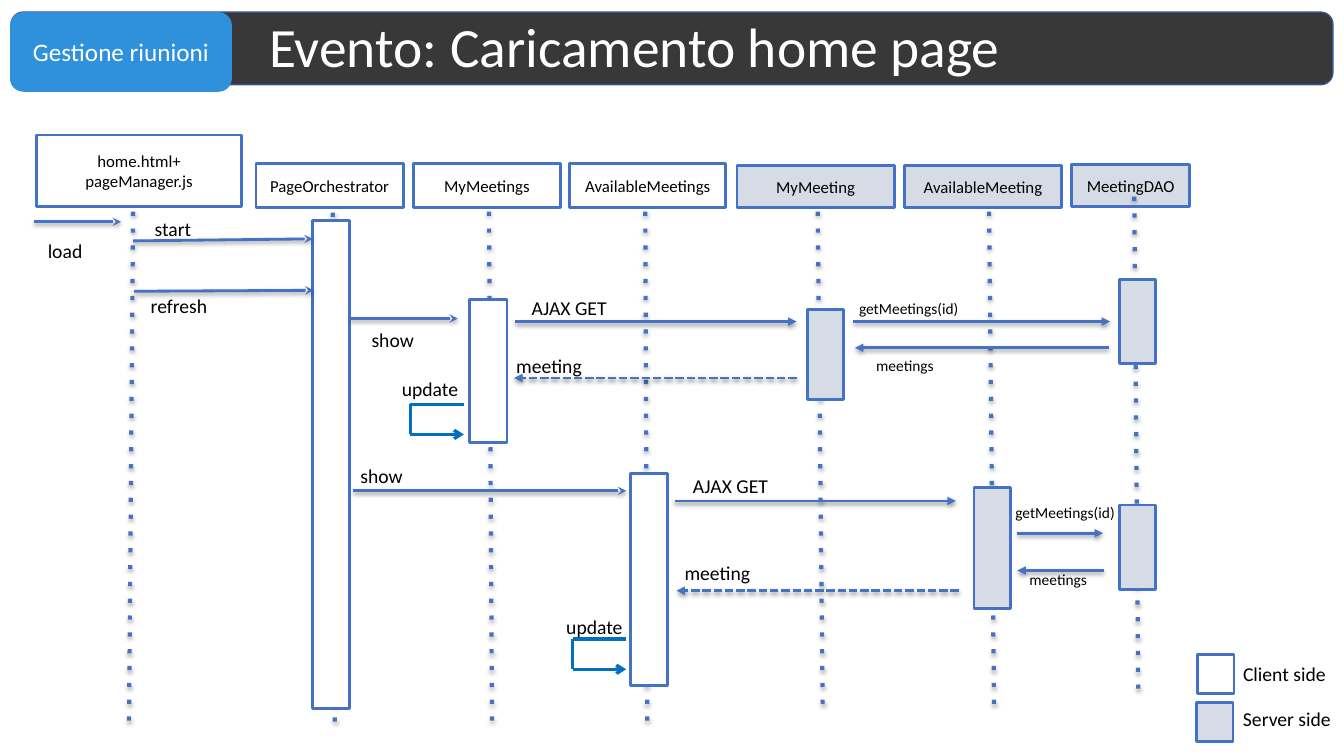
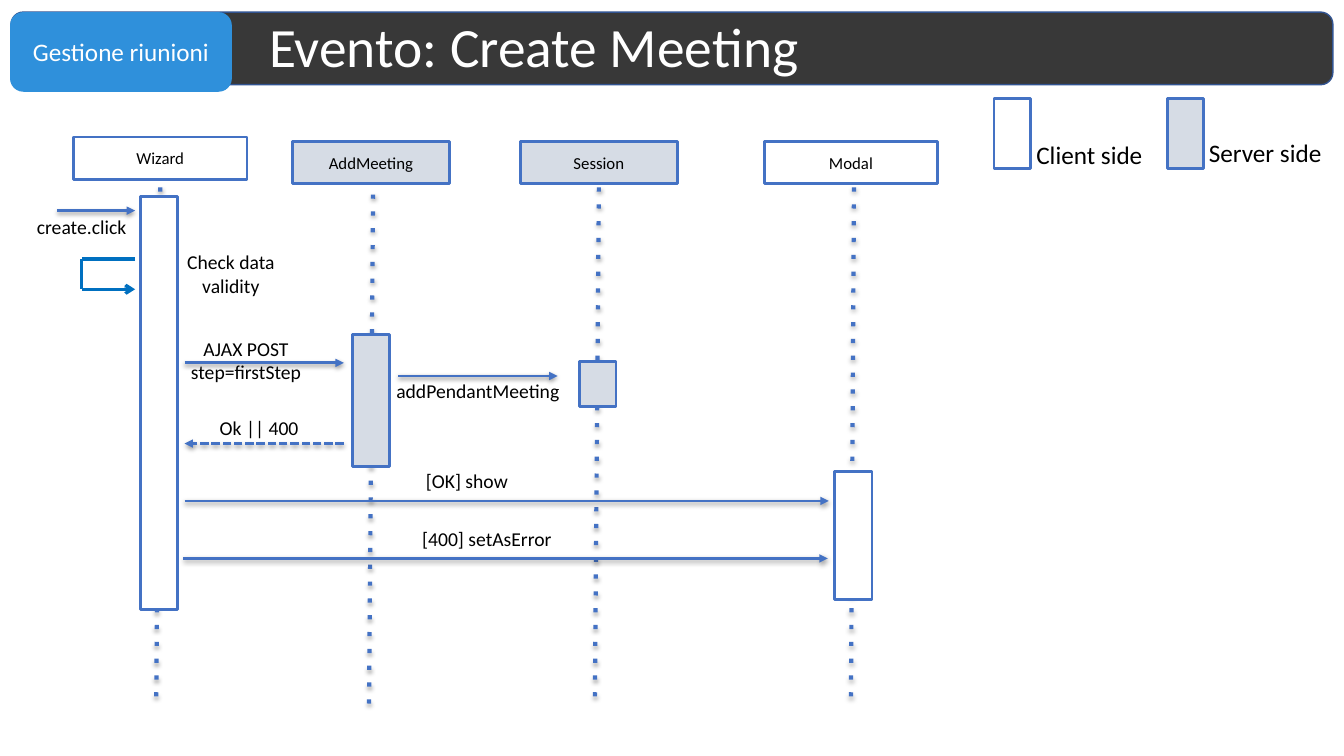
from lxml import etree
from pptx import Presentation
from pptx.dml.color import RGBColor
from pptx.enum.shapes import MSO_CONNECTOR, MSO_SHAPE
from pptx.enum.text import MSO_ANCHOR, PP_ALIGN
from pptx.oxml.ns import qn
from pptx.util import Emu, Pt

STRAIGHT = MSO_CONNECTOR.STRAIGHT
RECTANGLE, ROUNDED = MSO_SHAPE.RECTANGLE, MSO_SHAPE.ROUNDED_RECTANGLE
TOP, MIDDLE = MSO_ANCHOR.TOP, MSO_ANCHOR.MIDDLE
LEFT, CENTER = PP_ALIGN.LEFT, PP_ALIGN.CENTER

EMU_PER_PX = 9144  # 100 px to the inch
FONT = "Calibri"
COLORS = {
    "band": "383838", "band_line": "325491", "tag": "2F90DB",
    "line": "4472C4", "loop": "0070C0", "shadow": "000000",
    "client": "FFFFFF", "server": "D6DCE5",
    "text": "000000", "light_text": "FFFFFF",
}
ACTIVATION_WIDTH = {"client": 37, "server": 36}
LOOP_WIDTH, LOOP_HEIGHT = 53, 30
WIDE_INSETS, PLAIN_INSETS = (12, 6), (10, 5)


def px(length):
    return Emu(length * EMU_PER_PX)


def rgb(name):
    return RGBColor.from_string(COLORS[name])


# Basic elements

def write_text(shape, text, size, color="text", align=CENTER, anchor=MIDDLE,
               insets=WIDE_INSETS, line_spacing=None):
    frame = shape.text_frame
    frame.word_wrap = True
    frame.vertical_anchor = anchor
    frame.margin_left = frame.margin_right = px(insets[0])
    frame.margin_top = frame.margin_bottom = px(insets[1])
    frame.text = text
    for paragraph in frame.paragraphs:
        paragraph.alignment = align
        paragraph.line_spacing = line_spacing
        paragraph.font.name = FONT
        paragraph.font.size = Pt(size)
        paragraph.font.color.rgb = rgb(color)


def add_box(slide, box, fill, kind=RECTANGLE, line="line", line_width=2):
    shape = slide.shapes.add_shape(kind, *map(px, box))
    shape.shadow.inherit = False
    shape.fill.solid()
    shape.fill.fore_color.rgb = rgb(fill)
    if line:
        shape.line.color.rgb = rgb(line)
        shape.line.width = Pt(line_width)
    else:
        shape.line.fill.background()
    return shape


def add_text(slide, box, text, size, **style):
    write_text(slide.shapes.add_textbox(*map(px, box)), text, size, **style)


def add_line(shapes, points, color="line", width=2, dash=None, head=None,
             shadow=None):
    """Draw a line; shadow is (opacity in percent, distance in EMU)."""
    connector = shapes.add_connector(STRAIGHT, *map(px, points))
    connector.line.color.rgb = rgb(color)
    connector.line.width = Pt(width)
    properties = connector._element.spPr
    outline = properties.find(qn("a:ln"))
    if dash:
        etree.SubElement(outline, qn("a:prstDash"), val=dash)
    if head:
        etree.SubElement(outline, qn("a:tailEnd"), type=head)
    effects = etree.SubElement(properties, qn("a:effectLst"))
    if shadow:
        opacity, distance = shadow
        outer = etree.SubElement(
            effects, qn("a:outerShdw"), blurRad="40000", dist=str(distance),
            dir="5400000", rotWithShape="0")
        shade = etree.SubElement(outer, qn("a:srgbClr"), val=COLORS["shadow"])
        etree.SubElement(shade, qn("a:alpha"), val=str(opacity * 1000))


# Sequence diagram elements

def add_header(slide, title):
    add_box(slide, (11, 12, 1311, 72), "band", ROUNDED, "band_line", 1)
    tag = add_box(slide, (10, 12, 220, 79), "tag", ROUNDED, None)
    write_text(tag, "Gestione riunioni", 18, "light_text", insets=PLAIN_INSETS)
    add_text(slide, (257, 12, 1063, 74), title, 39.6, color="light_text",
             align=LEFT, insets=PLAIN_INSETS, line_spacing=0.9)


def add_participant(slide, name, side, *box):
    write_text(add_box(slide, box, side), name, 12)


def add_lifeline(slide, *points):
    add_line(slide.shapes, points, width=3, dash="dot", shadow=(35, 23000))


def add_activation(slide, side, left, top, height):
    add_box(slide, (left, top, ACTIVATION_WIDTH[side], height), side)


def add_message(slide, head, dash, *points):
    add_line(slide.shapes, points, dash=dash, head=head, shadow=(38, 20000))


def add_self_message(slide, right, top):
    left, bottom = right - LOOP_WIDTH, top + LOOP_HEIGHT
    shapes = slide.shapes.add_group_shape().shapes
    for points, head in (((right, top, left, top), None),
                         ((left, top, left, bottom), None),
                         ((left, bottom, right, bottom), "arrow")):
        add_line(shapes, points, "loop", 2.25, head=head)


def add_label(slide, text, left, top, width=111, height=30):
    add_text(slide, (left, top, width, height), text, 14, anchor=TOP)


def add_call_label(slide, text, left, top, width):
    add_text(slide, (left, top, width, 40), text, 11, align=LEFT, anchor=TOP)


def add_legend(slide, text, side, size, box, text_box):
    add_box(slide, box, side)
    add_text(slide, text_box, text, size, align=LEFT, anchor=TOP,
             insets=PLAIN_INSETS)


# Slide contents

HOME_PAGE = {
    "title": "Evento: Caricamento home page",
    "elements": [
        (add_participant, [
            ("home.html+ pageManager.js", "client", 36, 134, 204, 71),
            ("PageOrchestrator", "client", 254, 162, 146, 44),
            ("MyMeetings", "client", 410, 162, 146, 44),
            ("AvailableMeetings", "client", 565, 162, 155, 44),
            ("MyMeeting", "server", 731, 164, 156, 42),
            ("AvailableMeeting", "server", 897, 164, 156, 42),
            ("MeetingDAO", "server", 1063, 163, 117, 42),
        ]),
        (add_lifeline, [
            (132, 210, 128, 716),
            (330, 211, 332, 716),
            (485, 210, 488, 716),
            (640, 210, 642, 715),
            (811, 210, 816, 707),
            (981, 210, 986, 707),
            (1125, 195, 1129, 692),
        ]),
        (add_activation, [
            ("client", 310, 219, 484),
            ("client", 466, 297, 142),
            ("client", 625, 470, 210),
            ("server", 801, 307, 89),
            ("server", 966, 484, 120),
            ("server", 1110, 277, 84),
            ("server", 1110, 501, 84),
        ]),
        (add_message, [
            ("stealth", None, 34, 220, 120, 220),
            ("stealth", None, 132, 239, 310, 237),
            ("stealth", None, 133, 289, 311, 288),
            ("stealth", None, 347, 316, 454, 316),
            ("stealth", None, 350, 487, 621, 487),
            ("triangle", None, 511, 319, 790, 319),
            ("triangle", None, 846, 319, 1101, 319),
            ("triangle", None, 1100, 345, 848, 345),
            ("triangle", "sysDash", 790, 375, 510, 375),
            ("triangle", None, 669, 497, 948, 497),
            ("triangle", None, 1009, 529, 1094, 529),
            ("triangle", None, 1095, 566, 1009, 566),
            ("triangle", "sysDash", 951, 586, 671, 586),
        ]),
        (add_self_message, [(460, 401), (621, 634)]),
        (add_label, [
            ("load", 9, 231),
            ("start", 116, 209),
            ("refresh", 122, 286),
            ("show", 334, 319),
            ("show", 323, 454),
            ("AJAX GET", 509, 288),
            ("meeting", 489, 345),
            ("update", 371, 368),
            ("AJAX GET", 669, 464),
            ("meeting", 656, 551),
            ("update", 534, 604),
        ]),
        (add_call_label, [
            ("getMeetings(id)", 840, 291, 153),
            ("meetings", 857, 347, 90),
            ("getMeetings(id)", 995, 493, 153),
            ("meetings", 1009, 560, 90),
        ]),
        (add_legend, [
            ("Client side", "client", 14, (1188, 649, 36, 39), (1223, 652, 108, 34)),
            ("Server side", "server", 14, (1187, 697, 36, 39), (1223, 696, 110, 34)),
        ]),
    ],
}

CREATE_MEETING = {
    "title": "Evento: Create Meeting",
    "elements": [
        (add_participant, [
            ("Wizard", "client", 73, 136, 172, 42),
            ("AddMeeting", "server", 290, 140, 156, 42),
            ("Session", "server", 516, 140, 156, 42),
            ("Modal", "client", 758, 140, 172, 42),
        ]),
        (add_lifeline, [
            (159, 186, 155, 693),
            (370, 193, 366, 700),
            (594, 186, 590, 693),
            (847, 186, 844, 693),
        ]),
        (add_activation, [
            ("client", 139, 195, 410),
            ("server", 350, 332, 131),
            ("server", 575, 359, 44),
            ("client", 828, 468, 127),
        ]),
        (add_message, [
            ("triangle", None, 57, 209, 134, 209),
            ("triangle", None, 183, 360, 341, 360),
            ("triangle", None, 395, 373, 553, 373),
            ("triangle", "sysDash", 341, 440, 183, 440),
            ("triangle", None, 183, 497, 822, 497),
            ("triangle", None, 182, 554, 821, 554),
        ]),
        (add_self_message, [(134, 257)]),
        (add_label, [
            ("create.click", 20, 207, 122),
            ("Check data validity", 168, 242, 122),
            ("AJAX POST\nstep=firstStep", 172, 328, 144),
            ("addPendantMeeting", 379, 370, 190),
            ("Ok || 400", 196, 407, 122),
            ("[OK] show", 402, 459, 122),
            ("[400] setAsError", 401, 517, 164),
        ]),
        (add_legend, [
            ("Client side", "client", 18, (986, 98, 36, 69), (1018, 133, 131, 37)),
            ("Server side", "server", 18, (1158, 98, 36, 69), (1189, 131, 139, 40)),
        ]),
    ],
}


def add_diagram_slide(presentation, content):
    slide = presentation.slides.add_slide(presentation.slide_layouts[6])
    add_header(slide, content["title"])
    for add_element, rows in content["elements"]:
        for row in rows:
            add_element(slide, *row)


def main():
    presentation = Presentation()
    presentation.slide_width = px(1333)
    presentation.slide_height = px(750)
    for content in (HOME_PAGE, CREATE_MEETING):
        add_diagram_slide(presentation, content)
    presentation.save("out.pptx")


if __name__ == "__main__":
    main()
